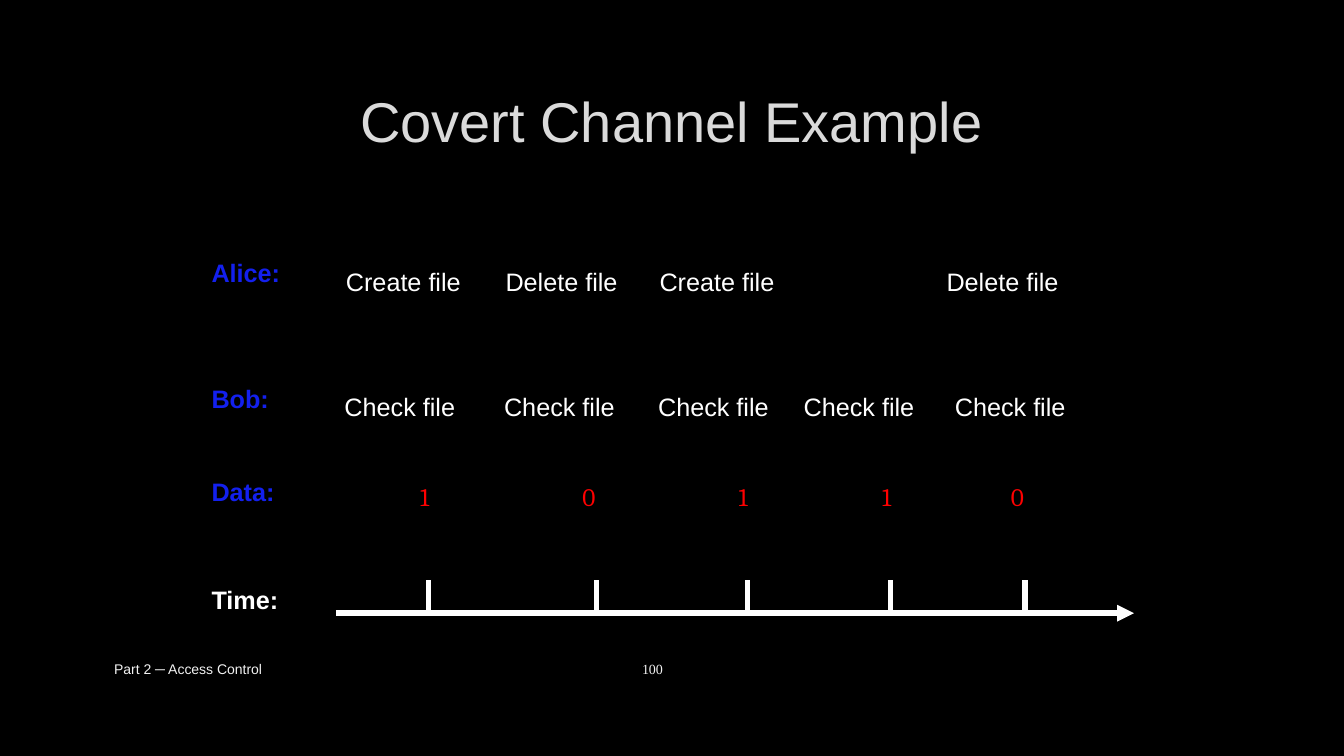
"""Build the covert channel timeline slide."""
from pptx import Presentation
from pptx.dml.color import RGBColor
from pptx.enum.shapes import MSO_CONNECTOR
from pptx.enum.text import MSO_ANCHOR as Anchor, PP_ALIGN as Align
from pptx.oxml.ns import qn
from pptx.util import Pt
from lxml.etree import SubElement

WHITE, BLUE, RED = "FFFFFF", "1320EE", "FF0000"

deck = Presentation()
deck.slide_width, deck.slide_height = Pt(960), Pt(540)
page = deck.slides.add_slide(deck.slide_layouts[6])
page.background.fill.solid()
page.background.fill.fore_color.rgb = RGBColor.from_string("000000")


def add_text(text, left, top, width, height, size=18, font="Arial", color=WHITE,
             bold=False, align=Align.LEFT, anchor=Anchor.TOP):
    box = page.shapes.add_textbox(Pt(left), Pt(top), Pt(width), Pt(height))
    box.text_frame.word_wrap = True
    box.text_frame.vertical_anchor = anchor
    para = box.text_frame.paragraphs[0]
    para.alignment = align
    span = para.add_run()
    span.text = text
    span.font.size, span.font.name, span.font.bold = Pt(size), font, bold
    span.font.color.rgb = RGBColor.from_string(color)


def add_line(x1, y1, x2, y2):
    line = page.shapes.add_connector(MSO_CONNECTOR.STRAIGHT, Pt(x1), Pt(y1), Pt(x2), Pt(y2))
    line.line.width = Pt(4)
    line.line.color.rgb = RGBColor.from_string(WHITE)
    SubElement(line._element.spPr, qn("a:effectLst"))
    return line


add_text("Covert Channel Example", 72, 48, 815, 76, size=40, color="DADADA",
         align=Align.CENTER, anchor=Anchor.MIDDLE)

for label, top, color in [("Alice:", 180, BLUE), ("Bob:", 270, BLUE),
                          ("Data:", 337, BLUE), ("Time:", 414, WHITE)]:
    add_text(label, 144, top, 82, 37, color=color, bold=True)

time_axis = add_line(240, 438, 810, 438)
SubElement(time_axis.line._get_or_add_ln(), qn("a:tailEnd"), type="triangle")

steps = [
    ("Create file", 240, 239, "1", 293, 306),
    ("Delete file", 354, 353, "0", 409, 426),
    ("Create file", 464, 463, "1", 520.5, 534),
    (None, None, 567, "1", 623, 636),
    ("Delete file", 669, 675, "0", 715, 732),
]
for action, action_left, check_left, bit, bit_left, tick_x in steps:
    if action:
        add_text(action, action_left, 187, 107, 29)
    add_text("Check file", check_left, 276, 100, 29)
    add_text(bit, bit_left, 340, 28, 36, font="Cambria", color=RED)
    add_line(tick_x, 438, tick_x, 414)

for text, left, width, font in [("Part 2 ─ Access Control", 74.5, 200, "Arial"),
                                ("100", 451.5, 60, "Times New Roman")]:
    add_text(text, left, 463, width, 29, size=10, font=font, color="F2F2F2",
             anchor=Anchor.MIDDLE)

deck.save("out.pptx")
